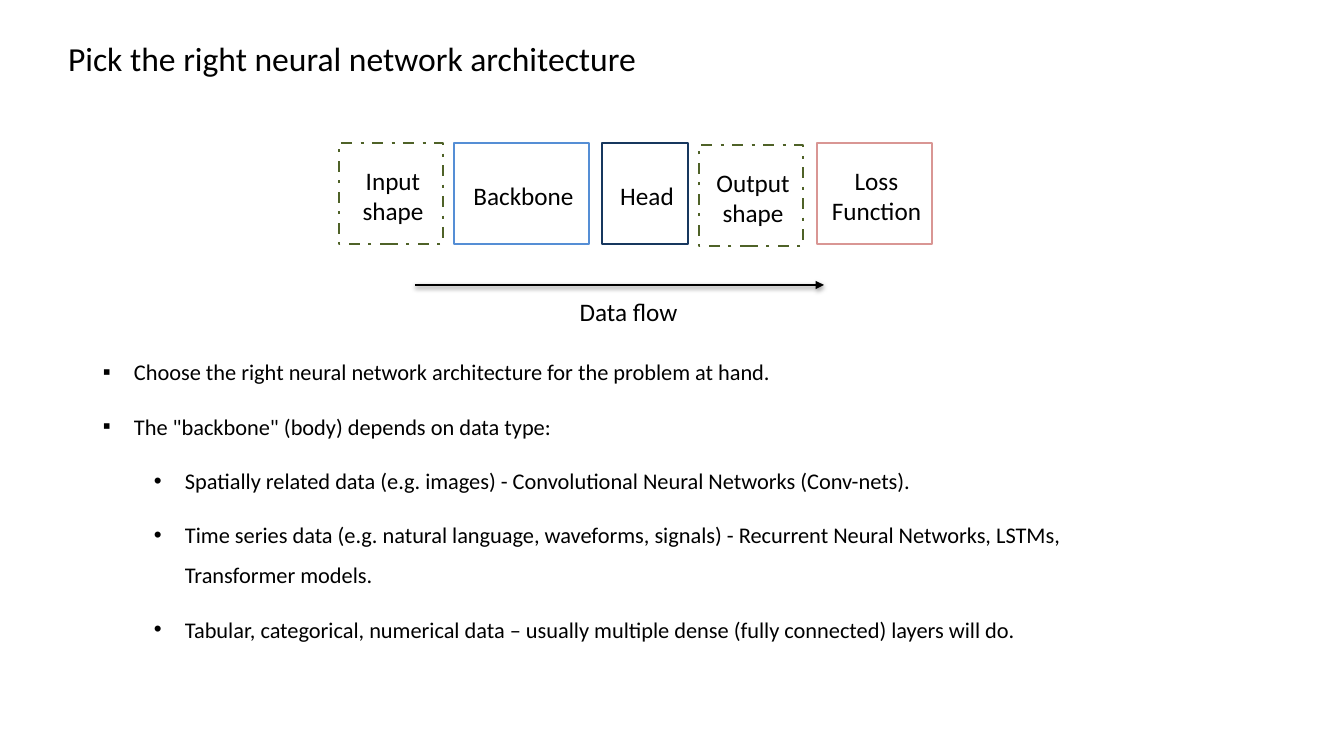
from dataclasses import dataclass

from lxml.etree import SubElement
from pptx import Presentation
from pptx.dml.color import RGBColor
from pptx.enum.dml import MSO_LINE_DASH_STYLE as Dash
from pptx.enum.shapes import MSO_CONNECTOR_TYPE as Connector, MSO_SHAPE as Shape
from pptx.enum.text import MSO_ANCHOR as Anchor, MSO_AUTO_SIZE as AutoSize, PP_ALIGN as Align
from pptx.oxml.ns import qn
from pptx.util import Pt

EMU_PER_PX = 914400 / 100.8


@dataclass(frozen=True)
class Theme:
    font: str = "Calibri"
    bullet_font: str = "Arial"
    ink: str = "000000"
    shape_green: str = "4F6228"
    backbone_blue: str = "558ED5"
    head_navy: str = "17375E"
    loss_pink: str = "D99694"
    title_size: int = 24
    label_size: int = 18
    body_size: int = 16
    line_width: int = 2


THEME = Theme()

# label, left, top, width, outline colour, dash
STAGES = [
    ("Input\nshape", 339, 143, 104, THEME.shape_green, Dash.DASH_DOT),
    ("Backbone", 454, 143, 135, THEME.backbone_blue, None),
    ("Head", 602, 143, 86, THEME.head_navy, None),
    ("Output\nshape", 699, 145, 104, THEME.shape_green, Dash.DASH_DOT),
    ("Loss\nFunction", 817, 143, 115, THEME.loss_pink, None),
]
STAGE_HEIGHT = 101

# outline level, text
ADVICE = [
    (0, "Choose the right neural network architecture for the problem at hand."),
    (0, 'The "backbone" (body) depends on data type:'),
    (1, "Spatially related data (e.g. images) - Convolutional Neural Networks (Conv-nets)."),
    (1, "Time series data (e.g. natural language, waveforms, signals) - "
        "Recurrent Neural Networks, LSTMs, Transformer models."),
    (1, "Tabular, categorical, numerical data – usually multiple dense "
        "(fully connected) layers will do."),
]
BULLETS = "▪•"


def px(length):
    return round(length * EMU_PER_PX)


def write(frame, text, *, size, align=Align.LEFT, anchor=Anchor.TOP, wrap=True, insets=(10, 5, 10, 5)):
    """Fill a text frame, one paragraph per line; insets are left, top, right, bottom."""
    frame.auto_size = AutoSize.NONE
    frame.word_wrap = wrap
    frame.vertical_anchor = anchor
    (frame.margin_left, frame.margin_top,
     frame.margin_right, frame.margin_bottom) = map(px, insets)
    for index, line in enumerate(text.split("\n")):
        para = frame.add_paragraph() if index else frame.paragraphs[0]
        para.alignment = align
        span = para.add_run()
        span.text = line
        span.font.name = THEME.font
        span.font.size = Pt(size)
        span.font.color.rgb = RGBColor.from_string(THEME.ink)


class SlideBuilder:
    def __init__(self, page, theme):
        self.page = page
        self.theme = theme

    def place(self, holder, left, top, width, height):
        holder.left, holder.top = px(left), px(top)
        holder.width, holder.height = px(width), px(height)
        return holder.text_frame

    def title(self, text, *bounds):
        frame = self.place(self.page.shapes.title, *bounds)
        write(frame, text, size=self.theme.title_size, wrap=False)

    def bullet_list(self, items, *bounds):
        frame = self.place(self.page.placeholders[1], *bounds)
        write(frame, "\n".join(text for _, text in items), size=self.theme.body_size)
        for para, (level, _) in zip(frame.paragraphs, items):
            para.level = level
            para.line_spacing = 1.5
            para.space_before = Pt(0)
            para.space_after = Pt(10)
            properties = para._p.get_or_add_pPr()
            properties.set("marL", str(px(31 + 51 * level)))
            properties.set("indent", str(px(-31)))
            SubElement(properties, qn("a:buFont"), typeface=self.theme.bullet_font)
            SubElement(properties, qn("a:buChar"), char=BULLETS[level])

    def stage(self, text, left, top, width, height, color, dash):
        box = self.page.shapes.add_shape(
            Shape.RECTANGLE, px(left), px(top), px(width), px(height))
        box.shadow.inherit = False
        box.fill.background()
        self.stroke(box.line, color)
        if dash is not None:
            box.line.dash_style = dash
        write(box.text_frame, text, size=self.theme.label_size, align=Align.CENTER,
              anchor=Anchor.MIDDLE, wrap=False, insets=(4, 4, 0, 0))

    def caption(self, text, left, top, width, height):
        box = self.page.shapes.add_textbox(px(left), px(top), px(width), px(height))
        write(box.text_frame, text, size=self.theme.label_size, align=Align.CENTER)

    def arrow(self, left, right, level):
        """Draw a horizontal arrow with a soft shadow beneath it."""
        arrow = self.page.shapes.add_connector(
            Connector.STRAIGHT, px(left), px(level), px(right), px(level))
        self.stroke(arrow.line, self.theme.ink)
        SubElement(arrow.line._get_or_add_ln(), qn("a:tailEnd"), type="triangle")
        effects = SubElement(arrow._element.spPr, qn("a:effectLst"))
        shadow = SubElement(effects, qn("a:outerShdw"), blurRad=str(Pt(3.1)),
                            dist=str(Pt(1.6)), dir="5400000", rotWithShape="0")
        tint = SubElement(shadow, qn("a:srgbClr"), val=self.theme.ink)
        SubElement(tint, qn("a:alpha"), val="38000")

    def stroke(self, line, color):
        line.color.rgb = RGBColor.from_string(color)
        line.width = Pt(self.theme.line_width)


def main():
    deck = Presentation()
    deck.slide_width, deck.slide_height = px(1344), px(756)
    page = deck.slides.add_slide(deck.slide_layouts[1])
    builder = SlideBuilder(page, THEME)

    builder.title("Pick the right neural network architecture", 58, 33, 594, 50)
    builder.bullet_list(ADVICE, 93, 340, 1069, 306)
    for label, left, top, width, color, dash in STAGES:
        builder.stage(label, left, top, width, STAGE_HEIGHT, color, dash)
    builder.arrow(415, 824, 285)
    builder.caption("Data flow", 569, 291, 119, 40)

    deck.save("out.pptx")


if __name__ == "__main__":
    main()
